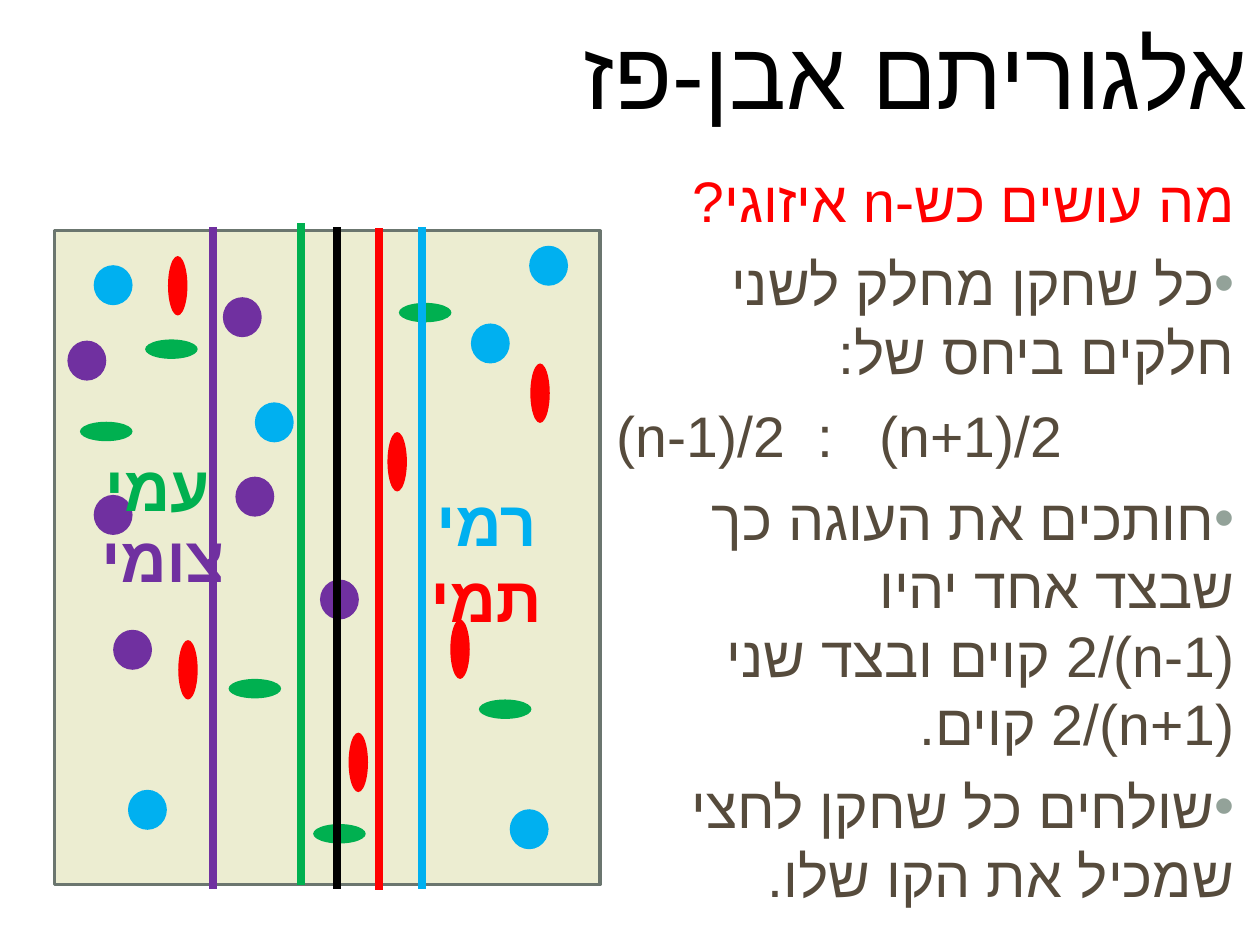
from lxml import etree
from pptx import Presentation
from pptx import util as u
from pptx.dml.color import RGBColor
from pptx.enum import lang, shapes, text
from pptx.oxml.ns import qn

PX = 9144  # one px is 1/100 inch
BLUE, GREEN, RED, PURPLE, BLACK = "00B0F0", "00B050", "FF0000", "7030A0", "000000"
BROWN, SAGE = "564B3C", "93A299"
DOT, FLAT, TALL = (34, 35), (46, 17), (17, 52)

# colour, topping size, topping corners, cut (x, top), name, name box
PLAYERS = [
    (BLUE, DOT, [(412, 283), (446, 708), (463, 215), (82, 232), (223, 352), (112, 691)],
     (369, 202), "רמי", (372, 418, 119, 77)),
    (GREEN, FLAT, [(200, 594), (349, 265), (70, 369), (127, 297), (274, 721), (419, 612)],
     (263, 199), "עמי", (82, 387, 124, 77)),
    (RED, TALL, [(464, 318), (339, 378), (156, 560), (394, 542), (147, 224), (305, 641)],
     (332, 203), "תמי", (367, 484, 128, 77)),
    (PURPLE, DOT, [(59, 298), (82, 433), (280, 507), (99, 551), (195, 260), (206, 417)],
     (186, 202), "צומי", (79, 449, 136, 77)),
]
MIDDLE_CUT = (295, 202)
CUT_LENGTH = 572


def rgb(value):
    return RGBColor.from_string(value)


def px(*lengths):
    return [u.Emu(length * PX) for length in lengths]


class CakeSlide:
    font = "Arial"

    def __init__(self, width, height):
        self.deck = Presentation()
        self.deck.slide_width, self.deck.slide_height = width, height
        self.slide = self.deck.slides.add_slide(self.deck.slide_layouts[5])

    def run(self, paragraph, words, size, colour, bold=False):
        run = paragraph.add_run()
        run.text = words
        run.font.name = self.font
        run.font.size = u.Pt(size)
        run.font.bold = bold
        run.font.color.rgb = rgb(colour)
        run.font.language_id = lang.MSO_LANGUAGE_ID.HEBREW
        script = etree.SubElement(run.font._element, qn("a:cs"))
        script.set("typeface", self.font)

    def right_to_left(self, paragraph):
        paragraph.alignment = text.PP_ALIGN.RIGHT
        paragraph._p.get_or_add_pPr().set("rtl", "1")

    def title(self, box, words, size):
        title = self.slide.shapes.title
        title.left, title.top, title.width, title.height = px(*box)
        frame = title.text_frame
        frame.auto_size = text.MSO_AUTO_SIZE.NONE
        frame.vertical_anchor = text.MSO_ANCHOR.MIDDLE
        self.right_to_left(frame.paragraphs[0])
        self.run(frame.paragraphs[0], words, size, BLACK)

    def text_box(self, box):
        frame = self.slide.shapes.add_textbox(*px(*box)).text_frame
        frame.word_wrap = True
        return frame

    def shape(self, kind, box, fill, line=None):
        shape = self.slide.shapes.add_shape(kind, *px(*box))
        shape.shadow.inherit = False
        shape.fill.solid()
        shape.fill.fore_color.rgb = rgb(fill)
        if line:
            shape.line.color.rgb = rgb(line)
            shape.line.width = u.Pt(2)
        else:
            shape.line.fill.background()

    def cut(self, x, top, colour):
        cut = self.slide.shapes.add_connector(
            shapes.MSO_CONNECTOR.STRAIGHT, *px(x, top, x, top + CUT_LENGTH))
        cut.line.color.rgb = rgb(colour)
        cut.line.width = u.Pt(5)
        cut.get_or_add_ln().set("cap", "sq")
        etree.SubElement(cut._element.spPr, qn("a:effectLst"))

    def bullet(self, paragraph, colour):
        properties = paragraph._p.get_or_add_pPr()
        tint = etree.SubElement(properties, qn("a:buClr"))
        etree.SubElement(tint, qn("a:srgbClr")).set("val", colour)
        etree.SubElement(properties, qn("a:buFont")).set("typeface", self.font)
        etree.SubElement(properties, qn("a:buChar")).set("char", "•")

    def tabs(self, paragraph, *stops):
        stop_list = etree.SubElement(paragraph._p.get_or_add_pPr(), qn("a:tabLst"))
        for stop in px(*stops):
            tab = etree.SubElement(stop_list, qn("a:tab"))
            tab.set("pos", str(int(stop)))
            tab.set("algn", "l")

    def explanation(self, box, question, ratio_tabs, steps):
        """Write the question, then steps; a step with tabs is the ratio line."""
        frame = self.text_box(box)
        self.right_to_left(frame.paragraphs[0])
        self.run(frame.paragraphs[0], question, 36, RED)
        for step in steps:
            paragraph = frame.add_paragraph()
            if "\t" in step:
                self.tabs(paragraph, *ratio_tabs)
            else:
                self.bullet(paragraph, SAGE)
                self.right_to_left(paragraph)
            paragraph.space_before = u.Pt(9)
            for number, line in enumerate(step.split("\n")):
                if number:
                    paragraph.add_line_break()
                self.run(paragraph, line, 36, BROWN)


def main():
    page = CakeSlide(u.Cm(28), u.Cm(21))
    page.title((106, 0, 996, 125), "אלגוריתם אבן-פז", 60)

    page.shape(shapes.MSO_SHAPE.RECTANGLE, (48, 202, 477, 572), "ECEDD1", "6B766F")
    for colour, size, corners, *_ in PLAYERS:
        for corner in corners:
            page.shape(shapes.MSO_SHAPE.OVAL, corner + size, colour)
    for colour, _, _, cut, *_ in PLAYERS:
        page.cut(*cut, colour)
    page.cut(*MIDDLE_CUT, BLACK)
    for colour, *_, name, box in PLAYERS:
        page.run(page.text_box(box).paragraphs[0], name, 40, colour, bold=True)

    page.explanation((530, 140, 560, 641), "מה עושים כש-n איזוגי?", (175, 230), [
        "כל שחקן מחלק לשני חלקים ביחס של:",
        "(n-1)/2\t:\t(n+1)/2",
        "חותכים את העוגה כך שבצד אחד יהיו\n(n-1)/2 קוים ובצד שני (n+1)/2 קוים.",
        "שולחים כל שחקן לחצי שמכיל את הקו שלו.",
    ])
    page.deck.save("out.pptx")


if __name__ == "__main__":
    main()
